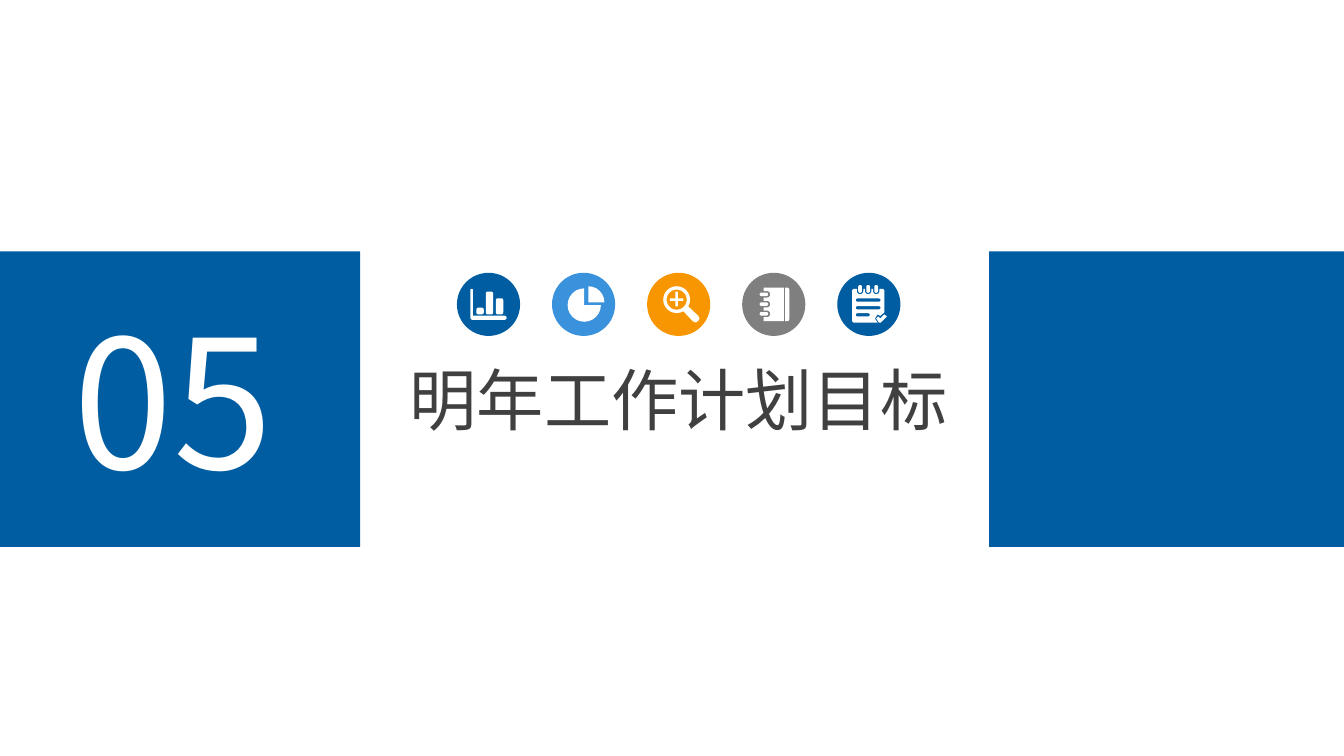
from math import cos, sin, radians
from pptx import Presentation
from pptx.dml.color import RGBColor
from pptx.enum.shapes import MSO_SHAPE as SHAPE
from pptx.enum.text import MSO_AUTO_SIZE as AUTO
from pptx.oxml.ns import qn
from pptx.util import Inches, Pt

BLUE = RGBColor(0x00, 0x5D, 0xA2)
SKY = RGBColor(0x39, 0x92, 0xDB)
ORANGE = RGBColor(0xF7, 0x96, 0x00)
GRAY = RGBColor(0x7F, 0x7F, 0x7F)
DARK = RGBColor(0x40, 0x40, 0x40)
WHITE = RGBColor(0xFF, 0xFF, 0xFF)
FONT = "Noto Sans CJK SC"


def add_text(s, text, box, size, color, font=FONT):
    tf = s.shapes.add_textbox(*map(Inches, box)).text_frame
    tf.word_wrap = False
    tf.auto_size = AUTO.SHAPE_TO_FIT_TEXT
    r = tf.paragraphs[0].add_run()
    r.text = text
    r.font.size, r.font.name, r.font.color.rgb = Pt(size), font, color
    ea = r.font._element.makeelement(qn("a:ea"), {"typeface": font})
    r.font._element.find(qn("a:latin")).addnext(ea)


def arc(x, y, radius, start=0, end=360):
    step = 15 if end > start else -15
    return [(x + radius * cos(radians(a)), y + radius * sin(radians(a)))
            for a in range(start, end + step, step)]


prs = Presentation()
prs.slide_width = Inches(10)
prs.slide_height = prs.slide_width * 9 // 16
s = prs.slides.add_slide(prs.slide_layouts[6])

for left in (0, 7.36):
    sp = s.shapes.add_shape(SHAPE.RECTANGLE, *map(Inches, (left, 1.87, 2.68, 2.2)))
    sp.shadow.inherit = False
    sp.fill.solid()
    sp.fill.fore_color.rgb = BLUE
    sp.line.fill.background()

add_text(s, "05", (0.45, 2.11, 1.78, 1.72), 96, WHITE)
add_text(s, "明年工作计划目标", (2.95, 2.62, 4.24, 0.71), 36, DARK)

bars = [arc(11, 13, 1, 180, 360) + [(12, 32)] + arc(35.5, 33.5, 1.5, -90, 90)
        + arc(11.5, 33.5, 1.5, 90, 180)]
for x, top in ((14.5, 26), (21.5, 14), (29, 19)):
    bars.append(arc(x + 1.5, top + 1.5, 1.5, 180, 270) + arc(x + 4, top + 1.5, 1.5, 270, 360)
                + arc(x + 4, 29.5, 1.5, 0, 90) + arc(x + 1.5, 29.5, 1.5, 90, 180))

pie = [[(27, 22)] + arc(27, 22, 12, 270, 360),
       [(24, 24)] + arc(24, 24, 12.4, 0, 270)]

plus = [(21, 14), (23, 14), (23, 19), (27, 19), (27, 21), (23, 21),
        (23, 25), (21, 25), (21, 21), (17, 21), (17, 19), (21, 19)]
magnifier = [arc(22, 20, 10, 60, 390) + [(38, 32), (39, 34), (38, 36), (36, 37), (34, 36)],
             arc(22, 20, 7.5), plus]

cover = [(16, 11), (31, 11), (31, 36), (16, 36)]
notebook = [[(32, 11)] + arc(33.5, 12.5, 1.5, 270, 360)
            + arc(33.5, 34.5, 1.5, 0, 90) + [(32, 36)]]
for y in (30.5, 23.3, 16):
    cover += [(16, y + 2.4)] + arc(18.5, y, 2.4, 90, -90) + [(16, y - 2.4)]
    notebook.append(arc(14.3, y, 1.3, 90, 270) + arc(18, y, 1.3, -90, 90))
notebook.append(cover)

page = [(11, 13), (12, 12)]
checklist = [[(29, 34), (30.5, 32.5), (32, 34), (35, 31), (37, 32.5), (32.5, 37), (31, 37)]]
for x in (17, 23, 29):
    page += [(x - 2.4, 12)] + arc(x, 13.5, 2.4, 180, 0) + [(x + 2.4, 12)]
    checklist.append(arc(x, 10.5, 1.4, 180, 360) + arc(x, 13.5, 1.4, 0, 180))
page += [(34, 12), (35, 13), (35, 29.5), (32, 32), (30, 31), (28, 34), (30, 37), (12, 37), (11, 36)]
for y, right in ((20.3, 31), (26, 31), (31.3, 23)):
    checklist.append(arc(15, y, 1.2, 90, 270) + arc(right, y, 1.2, -90, 90))
checklist.append(page)

icons = [(BLUE, bars), (SKY, pie), (ORANGE, magnifier), (GRAY, notebook), (BLUE, checklist)]
first, last, size = 3.4, 6.23, Inches(0.47)
pitch = (last - first) / (len(icons) - 1)
for i, (color, outlines) in enumerate(icons):
    left, top = Inches(first + pitch * i), Inches(2.03)
    group = s.shapes.add_group_shape()
    disc = group.shapes.add_shape(SHAPE.OVAL, left, top, size, size)
    outlines = [[(x * 100, y * 100) for x, y in points] for points in outlines]
    fb = group.shapes.build_freeform(*outlines[0][0], scale=Inches(0.01) / 100)
    fb.add_line_segments(outlines[0][1:])
    for points in outlines[1:]:
        fb.move_to(*points[0])
        fb.add_line_segments(points[1:])
    symbol = fb.convert_to_shape(left, top)
    for sp, fill in ((disc, color), (symbol, WHITE)):
        sp.shadow.inherit = False
        sp.fill.solid()
        sp.fill.fore_color.rgb = fill
        sp.line.fill.background()

prs.save("out.pptx")
